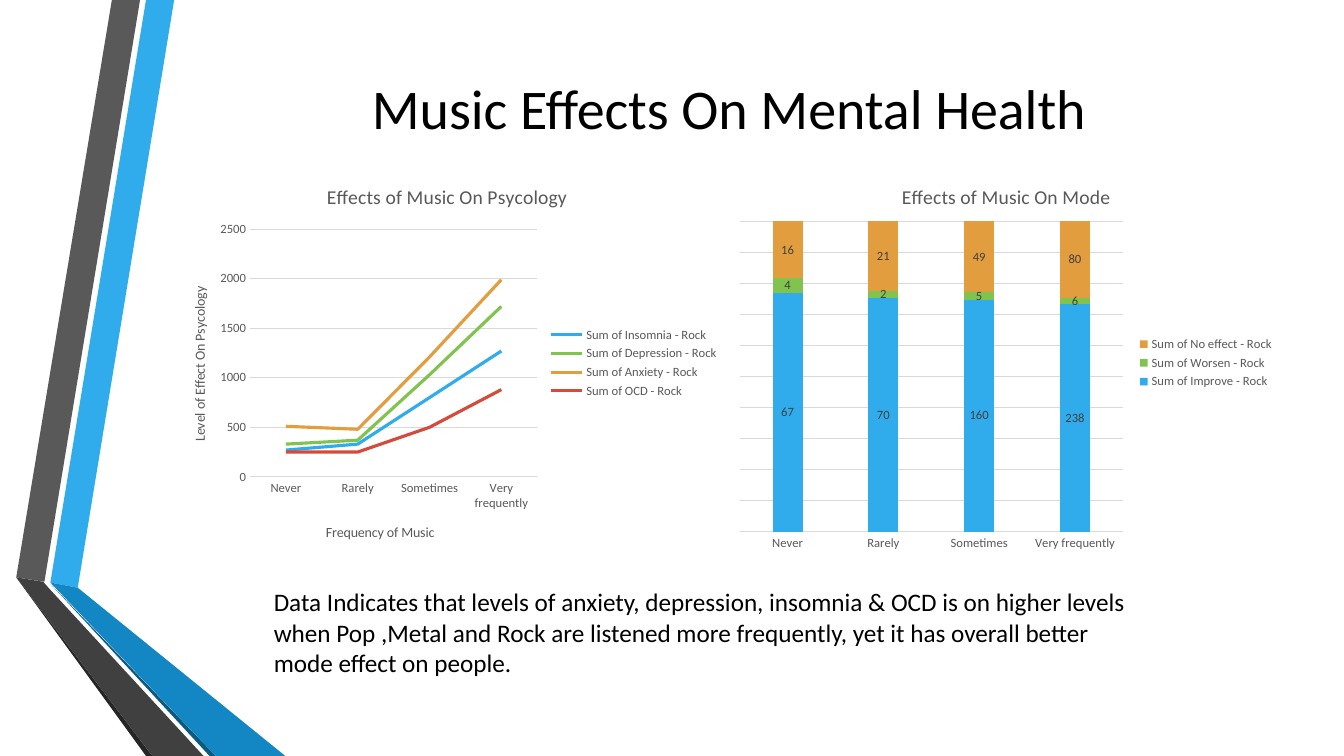
from lxml import etree
from pptx import Presentation
from pptx.chart.data import CategoryChartData
from pptx.dml.color import RGBColor
from pptx.enum.chart import XL_CHART_TYPE, XL_LEGEND_POSITION, XL_MARKER_STYLE, XL_TICK_MARK
from pptx.enum.text import MSO_ANCHOR, PP_ALIGN
from pptx.oxml.ns import qn
from pptx.util import Cm, Pt

LINE = XL_CHART_TYPE.LINE
STACKED = XL_CHART_TYPE.COLUMN_STACKED_100
LEGEND_RIGHT = XL_LEGEND_POSITION.RIGHT
NO_MARKER = XL_MARKER_STYLE.NONE
NO_TICK = XL_TICK_MARK.NONE
MIDDLE = MSO_ANCHOR.MIDDLE
CENTER = PP_ALIGN.CENTER

BLACK, GRAY, GRID, LABEL = "000000", "595959", "D9D9D9", "404040"
PALETTE = ["30ACEC", "80C34F", "E29D3E", "D64A3B"]
FREQUENCIES = ["Never", "Rarely", "Sometimes", "Very frequently"]


def color(hex_value):
    return RGBColor.from_string(hex_value)


def place(element, **fractions):
    old = element.find(qn("c:layout"))
    if old is not None:
        element.remove(old)
    layout = etree.Element(qn("c:layout"))
    manual = etree.SubElement(layout, qn("c:manualLayout"))
    settings = {"xMode": "edge", "yMode": "edge", **fractions}
    if "w" in fractions:
        settings = {"layoutTarget": "inner", **settings}
    for tag, value in settings.items():
        etree.SubElement(manual, qn("c:" + tag)).set("val", str(value))
    element.insert(0 if element.find(qn("c:tx")) is None else 1, layout)


class Deck:
    font = "Calibri"

    def __init__(self):
        self.presentation = Presentation()
        self.presentation.slide_width = Cm(33.87)
        self.presentation.slide_height = Cm(19.05)
        self.slide = self.presentation.slides.add_slide(self.presentation.slide_layouts[5])

    def style(self, font, size, hex_value):
        font.name = self.font
        font.size = Pt(size)
        font.bold = False
        font.color.rgb = color(hex_value)

    def set_text(self, frame, text, size, hex_value):
        frame.text = text
        for paragraph in frame.paragraphs:
            for run in paragraph.runs:
                self.style(run.font, size, hex_value)

    def title(self, text, box):
        heading = self.slide.shapes.title
        heading.left, heading.top, heading.width, heading.height = map(Cm, box)
        frame = heading.text_frame
        self.set_text(frame, text, 40, BLACK)
        frame.vertical_anchor = MIDDLE
        frame.paragraphs[0].alignment = CENTER

    def paragraph(self, text, box):
        frame = self.slide.shapes.add_textbox(*map(Cm, box)).text_frame
        frame.word_wrap = True
        self.set_text(frame, text, 18, BLACK)
        frame.paragraphs[0].space_after = Pt(6)

    def ribbon(self, points, hex_value):
        start, *rest = [(Cm(x), Cm(y)) for x, y in points]
        builder = self.slide.shapes.build_freeform(*start)
        builder.add_line_segments(rest, close=True)
        shape = builder.convert_to_shape()
        shape.shadow.inherit = False
        shape.fill.solid()
        shape.fill.fore_color.rgb = color(hex_value)
        shape.line.fill.background()

    def chart(self, kind, heading, series, box, plot_area):
        data = CategoryChartData()
        data.categories = FREQUENCIES
        for name, values in series.items():
            data.add_series(name, values)
        chart = self.slide.shapes.add_chart(kind, *map(Cm, box), data).chart
        self.style(chart.font, 10, BLACK)
        chart.has_title = True
        self.set_text(chart.chart_title.text_frame, heading, 14, GRAY)
        chart.has_legend = True
        chart.legend.position = LEGEND_RIGHT
        chart.legend.include_in_layout = False
        self.style(chart.legend.font, 9, GRAY)
        for axis in (chart.category_axis, chart.value_axis):
            axis.major_tick_mark = axis.minor_tick_mark = NO_TICK
            self.style(axis.tick_labels.font, 9, GRAY)
        chart.value_axis.minimum_scale = 0
        chart.value_axis.format.line.fill.background()
        chart.value_axis.has_major_gridlines = True
        for line in (chart.category_axis.format.line, chart.value_axis.major_gridlines.format.line):
            line.color.rgb = color(GRID)
            line.width = Pt(0.75)
        chart.plots[0].vary_by_categories = False
        place(chart.element.find(".//" + qn("c:plotArea")), **plot_area)
        return chart

    def axis_title(self, axis, text, x, y, rotation=0):
        axis.has_title = True
        self.set_text(axis.axis_title.text_frame, text, 10, GRAY)
        element = axis.axis_title.element
        element.find(".//" + qn("a:bodyPr")).set("rot", str(rotation * 60000))
        place(element, x=x, y=y)

    def line_chart(self, *content):
        chart = self.chart(LINE, *content)
        for series, hue in zip(chart.plots[0].series, PALETTE):
            series.smooth = False
            series.marker.style = NO_MARKER
            series.format.line.color.rgb = color(hue)
            series.format.line.width = Pt(2.25)
        return chart

    def stacked_chart(self, *content):
        chart = self.chart(STACKED, *content)
        chart.value_axis.maximum_scale = 1
        chart.value_axis.major_unit = 0.1
        chart.value_axis.visible = False
        plot = chart.plots[0]
        plot.gap_width, plot.overlap = 219, 100
        for series, hue in zip(plot.series, PALETTE):
            series.format.fill.solid()
            series.format.fill.fore_color.rgb = color(hue)
            series.data_labels.show_value = True
            self.style(series.data_labels.font, 9, LABEL)
        return chart


deck = Deck()
ribbons = [
    ("30ACEC", [(1.27, 14.68), (1.96, 14.81), (4.39, 0), (3.68, 0)]),
    ("595959", [(3.53, 0), (2.82, 0), (0.41, 14.55), (1.12, 14.66)]),
    ("262626", [(0.41, 14.55), (3.68, 19.05), (3.84, 19.05)]),
    ("0C5A82", [(1.27, 14.71), (5.28, 19.05), (5.44, 19.05)]),
    ("1287C3", [(1.27, 14.68), (5.44, 19.05), (7.19, 19.05), (1.96, 14.81)]),
    ("404040", [(5.13, 19.05), (1.22, 14.81), (1.09, 14.66), (0.41, 14.55), (3.84, 19.05)]),
]
for hue, points in ribbons:
    deck.ribbon(points, hue)

deck.title("Music Effects On Mental Health", (4.45, 0.76, 27.84, 3.89))

psychology = deck.line_chart(
    "Effects of Music On Psycology",
    {
        "Sum of Insomnia - Rock": [270, 330, 800, 1270],
        "Sum of Depression - Rock": [330, 370, 1030, 1720],
        "Sum of Anxiety - Rock": [510, 480, 1210, 1990],
        "Sum of OCD - Rock": [250, 250, 500, 880],
    },
    (4.17, 4.19, 14.2, 9.91),
    {"x": 0.15, "y": 0.16, "w": 0.51, "h": 0.63},
)
deck.axis_title(psychology.category_axis, "Frequency of Music", 0.28, 0.9)
deck.axis_title(psychology.value_axis, "Level of Effect On Psycology", 0.04, 0.3, -90)

deck.stacked_chart(
    "Effects of Music On Mode",
    {
        "Sum of Improve - Rock": [67, 70, 160, 238],
        "Sum of Worsen - Rock": [4, 2, 5, 6],
        "Sum of No effect - Rock": [16, 21, 49, 80],
    },
    (18.36, 4.19, 14, 9.91),
    {"x": 0.02, "y": 0.14, "w": 0.69, "h": 0.79},
)

deck.paragraph(
    "Data Indicates that levels of anxiety, depression, insomnia & OCD is on higher levels "
    "when Pop ,Metal and Rock are listened more frequently, yet it has overall better "
    "mode effect on people.",
    (6.65, 14.66, 22.68, 2.82),
)
deck.presentation.save("out.pptx")
